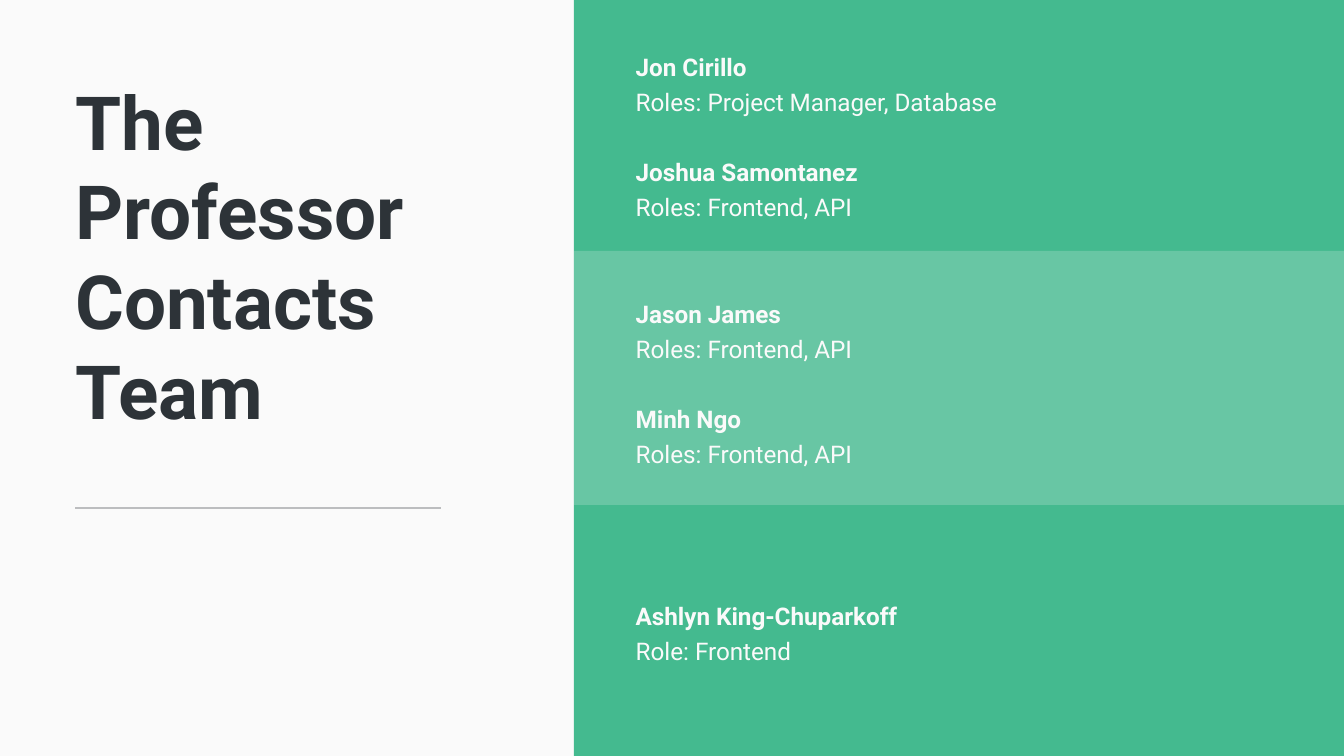
import pptx
import pptx.dml.color
import pptx.enum.shapes
import pptx.enum.text
import pptx.util
from lxml import etree
from pptx.oxml.ns import qn

PAPER = pptx.dml.color.RGBColor(0xFA, 0xFA, 0xFA)
INK = pptx.dml.color.RGBColor(0x2D, 0x33, 0x38)
GREEN = pptx.dml.color.RGBColor(0x44, 0xBA, 0x8F)

deck = pptx.Presentation()
deck.slide_width = pptx.util.Inches(10)
deck.slide_height = deck.slide_width * 9 // 16
slide = deck.slides.add_slide(deck.slide_layouts[6])
slide.background.fill.solid()
slide.background.fill.fore_color.rgb = PAPER

# Grid: one hundredth of the slide's width and height
COL = deck.slide_width / 100
ROW = deck.slide_height / 100
MARGIN, PANEL, NAMES = 5.6, 42.7, 47.3


def add_text(left, top, width, height, lines, size, color, spacing):
    """Each line is (text, bold, space before in points)."""
    box = slide.shapes.add_textbox(int(left * COL), int(top * ROW),
                                   int(width * COL), int(height * ROW))
    frame = box.text_frame
    frame.word_wrap = True
    frame.vertical_anchor = pptx.enum.text.MSO_ANCHOR.TOP
    frame.margin_left = frame.margin_right = 0
    frame.margin_top = frame.margin_bottom = 0
    for i, (text, bold, gap) in enumerate(lines):
        paragraph = frame.add_paragraph() if i else frame.paragraphs[0]
        paragraph.line_spacing = spacing
        paragraph.space_before = pptx.util.Pt(gap)
        run = paragraph.add_run()
        run.text = text
        run.font.name = "Roboto"
        run.font.size = pptx.util.Pt(size)
        run.font.bold = bold
        run.font.color.rgb = color


def set_opacity(fill_parent, percent):
    color = fill_parent.find(qn("a:solidFill"))[0]
    etree.SubElement(color, qn("a:alpha")).set("val", str(percent * 1000))


# Title
title = [(word, True, 0) for word in ("The", "Professor", "Contacts", "Team")]
add_text(MARGIN, 10, 31.9, 47.8, title, 40, INK, 1.0)

# Rule under the title
rule = slide.shapes.add_connector(
    pptx.enum.shapes.MSO_CONNECTOR.STRAIGHT,
    int(MARGIN * COL), int(67.2 * ROW), int(32.8 * COL), int(67.2 * ROW))
rule.line.width = pptx.util.Pt(1)
rule.line.color.rgb = INK
set_opacity(rule.line._get_or_add_ln(), 30)
etree.SubElement(rule._element.spPr, qn("a:effectLst"))

# Green panel with a lighter middle band
for top, height, color, opacity in ((0, 100, GREEN, 100), (33.2, 33.6, PAPER, 20)):
    band = slide.shapes.add_shape(
        pptx.enum.shapes.MSO_SHAPE.RECTANGLE, int(PANEL * COL), int(top * ROW),
        int((100 - PANEL) * COL), int(height * ROW))
    band.shadow.inherit = False
    band.line.fill.background()
    band.fill.solid()
    band.fill.fore_color.rgb = color
    if opacity < 100:
        set_opacity(band._element.spPr, opacity)

# Team members, one group per band
MEMBER_GAP = 18.75
groups = [
    (6.2, 22.6, [("Jon Cirillo", "Roles: Project Manager, Database"),
                 ("Joshua Samontanez", "Roles: Frontend, API")]),
    (38.8, 22.6, [("Jason James", "Roles: Frontend, API"),
                  ("Minh Ngo", "Roles: Frontend, API")]),
    (78.8, 8.5, [("Ashlyn King-Chuparkoff", "Role: Frontend")]),
]
for top, height, members in groups:
    lines = []
    for name, roles in members:
        lines.append((name, True, MEMBER_GAP if lines else 0))
        lines.append((roles, False, 0))
    add_text(NAMES, top, 47.1, height, lines, 13, PAPER, 1.2)

deck.save("out.pptx")
